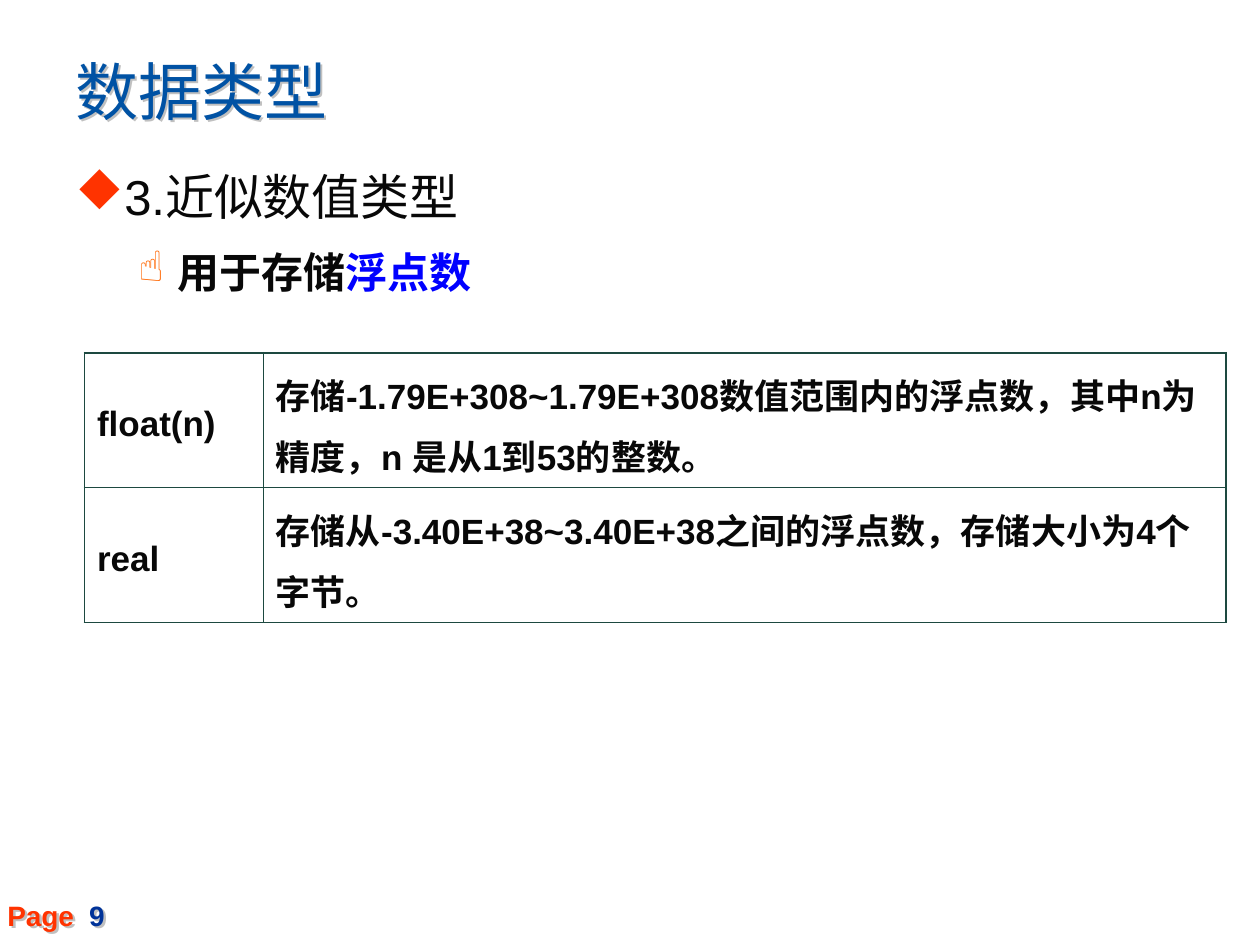
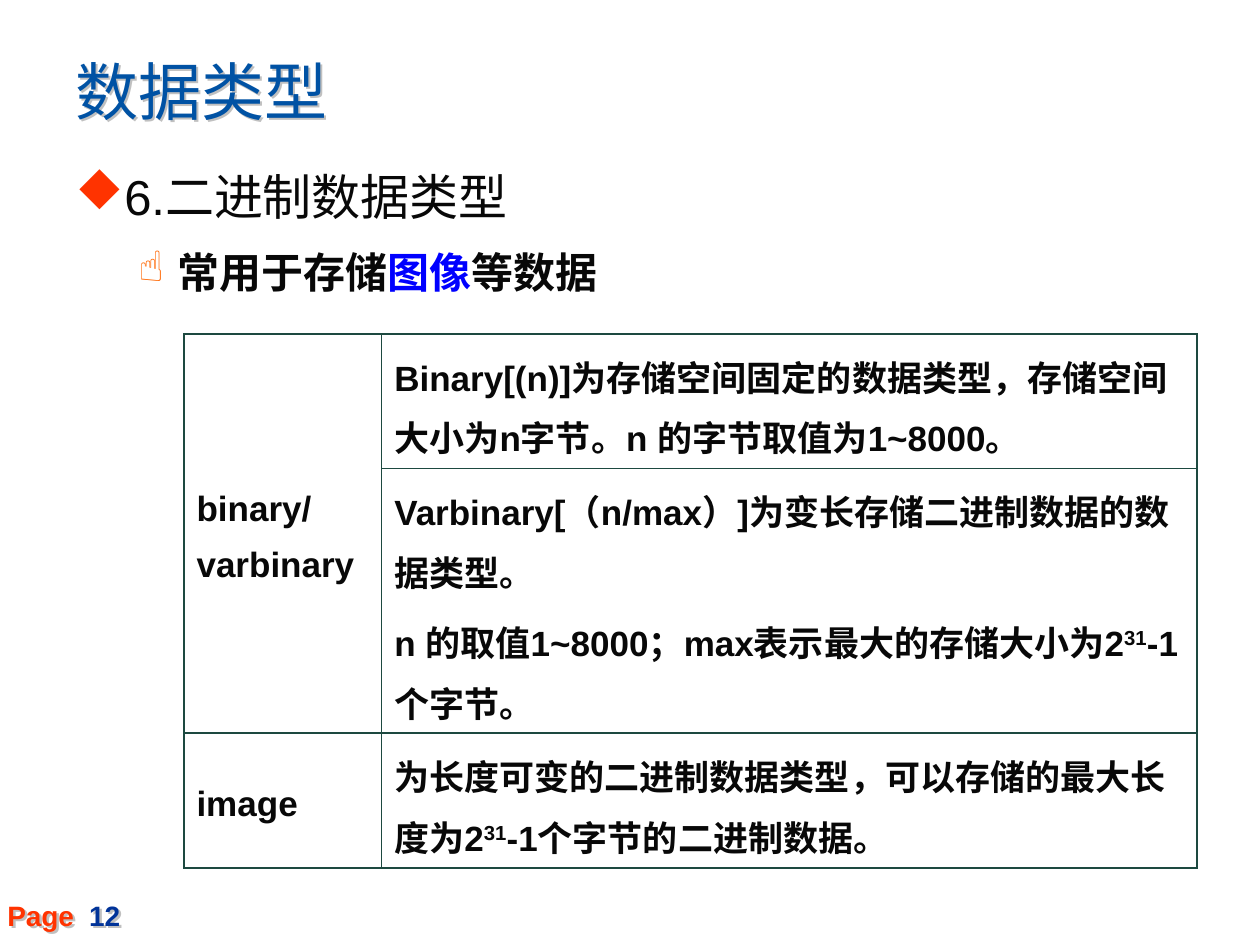
from dataclasses import dataclass

from lxml import etree
from pptx import Presentation
from pptx.dml.color import RGBColor
from pptx.enum.lang import MSO_LANGUAGE_ID
from pptx.enum.text import MSO_ANCHOR
from pptx.oxml.ns import qn
from pptx.util import Inches, Pt

MIDDLE, TOP = MSO_ANCHOR.MIDDLE, MSO_ANCHOR.TOP
CHINESE = MSO_LANGUAGE_ID.SIMPLIFIED_CHINESE


@dataclass(frozen=True)
class Theme:
    """Colours, fonts, type sizes and line widths of the deck."""
    title: str = "0052A4"
    ink: str = "080808"
    accent: str = "0000FF"
    red: str = "FF3300"
    orange: str = "FF6600"
    navy: str = "003399"
    shade: str = "C0C0C0"
    border: str = "1D4940"
    sans: str = "Arial"
    serif: str = "Times New Roman"
    marks: str = "Wingdings"
    title_size: int = 36
    head_size: int = 28
    point_size: int = 24
    cell_size: int = 20
    page_size: int = 16
    thick: float = 1.08
    thin: float = 0.45
    spacing: float = 1.2


THEME = Theme()


def node(parent, tag, **attrs):
    """Append a DrawingML element to a parent."""
    item = etree.SubElement(parent, qn("a:" + tag))
    for key, value in attrs.items():
        item.set(key, str(value))
    return item


def add_run(para, text, size, color=THEME.ink, bold=False, face=THEME.sans):
    """Add one formatted run to a paragraph."""
    run = para.add_run()
    run.text = text
    font = run.font
    font.size, font.bold, font.name = Pt(size), bold, face
    font.color.rgb = RGBColor.from_string(color)
    font.language_id = CHINESE
    return run


def add_shade(box):
    """Give the text of an unfilled box a grey drop shadow."""
    effect = node(box._element.spPr, "effectLst")
    shadow = node(effect, "outerShdw", dist=Pt(2), dir=2700000, algn="ctr")
    node(shadow, "srgbClr", val=THEME.shade)


def add_box(slide, left, top, width, height, anchor=TOP, wrap=True,
            shaded=False):
    """Add a text box and return its frame."""
    box = slide.shapes.add_textbox(*map(Inches, (left, top, width, height)))
    frame = box.text_frame
    frame.word_wrap, frame.vertical_anchor = wrap, anchor
    if shaded:
        add_shade(box)
    return frame


def add_bullet(para, mark, color, margin, hang):
    """Set a coloured symbol bullet with a hanging indent."""
    props = para._p.get_or_add_pPr()
    props.set("marL", str(Inches(margin)))
    props.set("indent", str(-Inches(hang)))
    node(node(props, "buClr"), "srgbClr", val=color)
    node(props, "buFont", typeface=THEME.marks, pitchFamily=2, charset=2)
    node(props, "buChar", char=mark)


def add_title(slide, text):
    """Add the shaded slide title."""
    frame = add_box(slide, 0.5, 0.44, 8.2, 0.55, MIDDLE, shaded=True)
    add_run(frame.paragraphs[0], text, THEME.title_size, THEME.title,
            face=THEME.serif)


def add_page(slide, number):
    """Add the page label at the lower left."""
    frame = add_box(slide, -0.04, 7.08, 1.26, 0.37, wrap=False, shaded=True)
    para = frame.paragraphs[0]
    tabs = node(para._p.get_or_add_pPr(), "tabLst")
    node(tabs, "tab", pos=Inches(0.65), algn="l")
    for text, color in (("Page\t", THEME.red), (str(number), THEME.navy)):
        add_run(para, text, THEME.page_size, color, True)


def add_body(slide, head, point):
    """Add the heading and the point whose odd pieces are accented."""
    frame = add_box(slide, 0.5, 1.18, 8.99, 5.57)
    first, second = frame.paragraphs[0], frame.add_paragraph()
    first.line_spacing = second.line_spacing = THEME.spacing
    second.space_before = Pt(6)
    add_bullet(first, "u", THEME.red, 0.37, 0.37)
    add_run(first, head, THEME.head_size)
    second.level = 1
    add_bullet(second, "F", THEME.orange, 0.81, 0.31)
    for index, text in enumerate(point):
        color = THEME.accent if index % 2 else THEME.ink
        add_run(second, text, THEME.point_size, color, True)


def fill_cell(cell, paras, anchor):
    """Write paragraphs into a cell, raising the odd pieces."""
    frame = cell.text_frame
    cell.vertical_anchor = anchor
    cell.margin_left = cell.margin_right = Inches(0.1)
    cell.margin_top = cell.margin_bottom = Inches(0.05)
    for index, pieces in enumerate(paras):
        para = frame.add_paragraph() if index else frame.paragraphs[0]
        para.line_spacing = THEME.spacing
        if index:
            para.space_before = Pt(5)
        for spot, text in enumerate(pieces):
            run = add_run(para, text, THEME.cell_size, bold=True)
            if spot % 2:
                run.font._element.set("baseline", "30000")


def set_edges(cell, left, right, top, bottom):
    """Draw the four cell borders and clear the fill."""
    props = cell._tc.get_or_add_tcPr()
    for side, width in zip("LRTB", (left, right, top, bottom)):
        line = node(props, "ln" + side, w=Pt(width))
        node(node(line, "solidFill"), "srgbClr", val=THEME.border)
    cell.fill.background()


def add_grid(slide, left, top, widths, heights, groups):
    """Add a table of types, each label spanning its descriptions."""
    size = map(Inches, (left, top, sum(widths), sum(heights)))
    table = slide.shapes.add_table(len(heights), len(widths), *size).table
    table.first_row = table.horz_banding = False
    for column, width in zip(table.columns, widths):
        column.width = Inches(width)
    for line, height in zip(table.rows, heights):
        line.height = Inches(height)
    thick, thin = THEME.thick, THEME.thin
    row = 0
    for label, texts in groups:
        start, last = row, row + len(texts) - 1
        for paras in texts:
            upper = thick if row == start else thin
            lower = thick if row == last else thin
            set_edges(table.cell(row, 0), thick, thin, thick, thick)
            set_edges(table.cell(row, 1), thin, thick, upper, lower)
            fill_cell(table.cell(row, 1), paras, TOP)
            row += 1
        if last > start:
            table.cell(start, 0).merge(table.cell(last, 0))
        fill_cell(table.cell(start, 0), label, MIDDLE)


def add_slide(deck, page, head, point):
    """Add a slide with the shared title, page label and body."""
    slide = deck.slides.add_slide(deck.slide_layouts[6])
    add_page(slide, page)
    add_title(slide, "数据类型")
    add_body(slide, head, point)
    return slide


def main():
    """Build and save the deck."""
    deck = Presentation()
    deck.slide_width, deck.slide_height = Inches(10), Inches(7.5)

    slide = add_slide(deck, 9, "3.近似数值类型", ["用于存储", "浮点数"])
    add_grid(slide, 0.67, 2.8, [1.42, 7.64], [1.07, 1.07], [
        ([["float(n)"]], [
            [["存储-1.79E+308~1.79E+308数值范围内的浮点数，"
              "其中n为精度，n 是从1到53的整数。"]]]),
        ([["real"]], [
            [["存储从-3.40E+38~3.40E+38之间的浮点数，存储大小为4个字节。"]]]),
    ])

    slide = add_slide(deck, 12, "6.二进制数据类型",
                      ["常用于存储", "图像", "等数据"])
    add_grid(slide, 1.46, 2.65, [1.57, 6.47], [1.07, 2.1, 1.07], [
        ([["binary/"], ["varbinary"]], [
            [["Binary[(n)]为存储空间固定的数据类型，存储空间大小为n字节。"
              "n 的字节取值为1~8000。"]],
            [["Varbinary[（n/max）]为变长存储二进制数据的数据类型。"],
             ["n 的取值1~8000；max表示最大的存储大小为2", "31",
              "-1个字节。"]]]),
        ([["image"]], [
            [["为长度可变的二进制数据类型，可以存储的最大长度为2", "31",
              "-1个字节的二进制数据。"]]]),
    ])
    deck.save("out.pptx")


if __name__ == "__main__":
    main()
